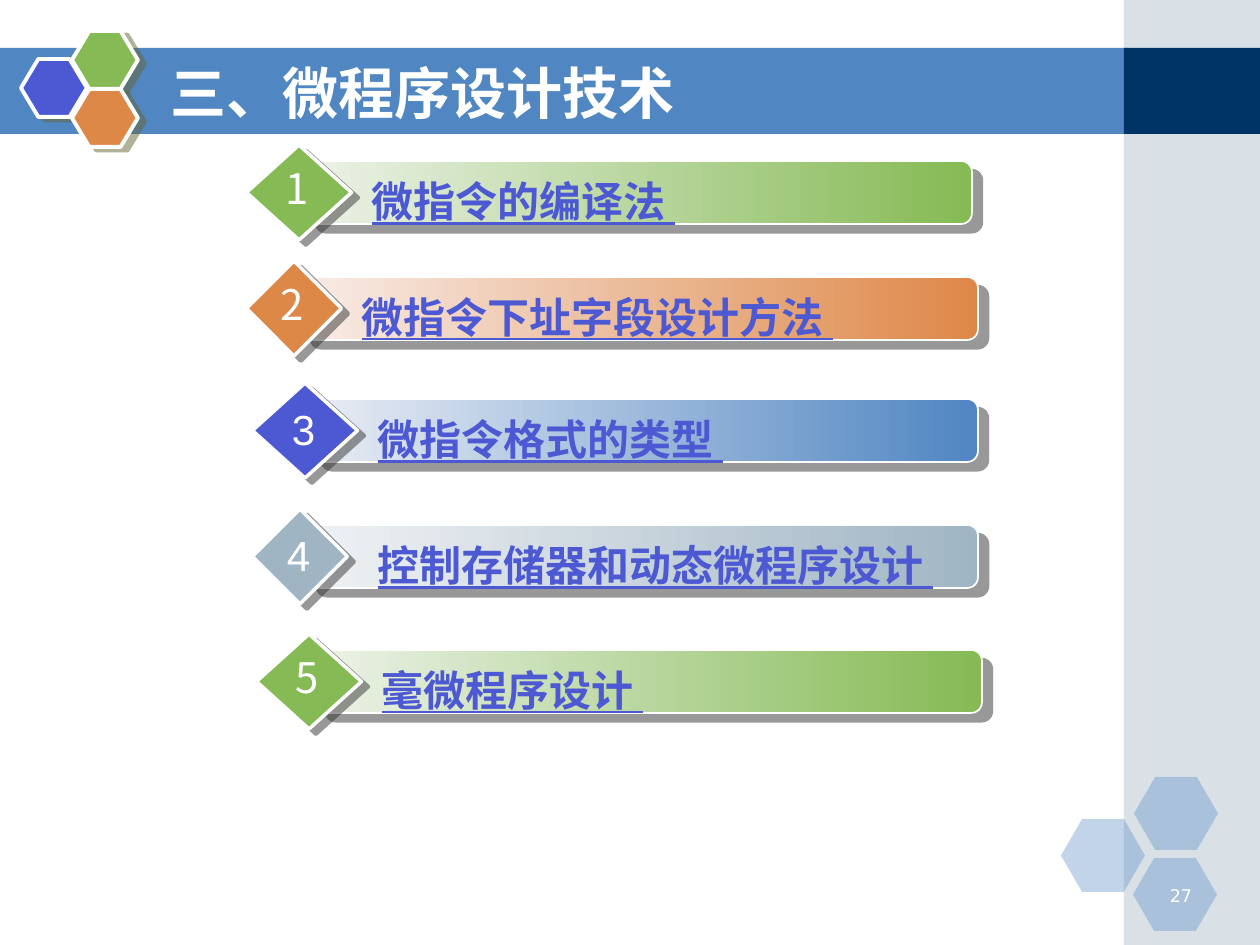
from pptx import Presentation
from pptx.dml.color import RGBColor as RGB
from pptx.enum.shapes import MSO_SHAPE as Kind
from pptx.enum.text import MSO_ANCHOR as Anchor, PP_ALIGN as Align
from pptx.oxml.ns import qn
from pptx.util import Emu, Pt
from lxml.etree import SubElement as Sub

PX = 914400 / 126
THEME = {
    "blue": "5086C2", "navy": "003366", "gray": "A0B5C4",
    "green": "85BA54", "orange": "DE8848", "indigo": "4C59D2",
    "white": "FFFFFF", "dark": "333333", "olive": "666633",
    "cjk": "Noto Sans CJK SC", "latin": "Arial", "small": "DejaVu Sans",
    "title": Pt(32), "body": Pt(24), "page": Pt(10),
}
PALE = {"green": "ECF2E8", "orange": "F8ECE7", "blue": "E8ECF4", "gray": "EFF2F4"}

deck = Presentation()
deck.slide_width, deck.slide_height = Emu(round(1260 * PX)), Emu(round(945 * PX))
slide = deck.slides.add_slide(deck.slide_layouts[6])


def draw(kind, box, tone, adj=None, alpha=None, pale=None, edge=None, cast=None):
    """Add a preset shape; cast is (tone, distance in pt, angle) of its shadow."""
    shape = slide.shapes.add_shape(kind, *[Emu(round(n * PX)) for n in box])
    shape.shadow.inherit = False
    if adj:
        shape.adjustments[0] = adj
    fill = shape.fill
    if pale:
        fill.gradient()
        fill.gradient_angle = 0
        for stop, color in zip(fill.gradient_stops, (pale, THEME[tone])):
            stop.color.rgb = RGB.from_string(color)
    else:
        fill.solid()
        fill.fore_color.rgb = RGB.from_string(THEME[tone])
    if alpha:
        color = shape._element.spPr.find(".//" + qn("a:srgbClr"))
        Sub(color, qn("a:alpha"), val=str(alpha * 1000))
    if edge:
        shape.line.color.rgb = RGB.from_string(THEME["white"])
        shape.line.width = Pt(edge)
    else:
        shape.line.fill.background()
    if cast:
        shade, dist, angle = cast
        glow = Sub(shape._element.spPr.find(qn("a:effectLst")), qn("a:outerShdw"),
                   dist=str(Pt(dist)), dir=str(angle * 60000),
                   algn="ctr", rotWithShape="0")
        color = Sub(glow, qn("a:srgbClr"), val=THEME[shade])
        Sub(color, qn("a:alpha"), val="50000")


def write(text, box, size, tone, face="cjk", align=Align.LEFT, anchor=Anchor.TOP, **style):
    frame = slide.shapes.add_textbox(*[Emu(round(n * PX)) for n in box]).text_frame
    layout = {"word_wrap": True, "margin_left": 0, "margin_right": 0,
              "vertical_anchor": anchor}
    for key, value in layout.items():
        setattr(frame, key, value)
    para = frame.paragraphs[0]
    para.alignment = align
    run = para.add_run()
    run.text = text
    for key, value in {"name": THEME[face], "size": THEME[size], **style}.items():
        setattr(run.font, key, value)
    run.font.color.rgb = RGB.from_string(THEME[tone])
    Sub(run._r.get_or_add_rPr(), qn("a:ea"), typeface=THEME["cjk"])


# Title band and side panel
draw(Kind.RECTANGLE, (0, 48, 1128, 86), "blue")
draw(Kind.RECTANGLE, (1124, 0, 136, 945), "gray", alpha=40)
draw(Kind.RECTANGLE, (1124, 48, 136, 86), "navy")

# Hexagon clusters
for left, top in ((1061, 819), (1134, 777), (1133, 858)):
    draw(Kind.HEXAGON, (left, top, 84, 73), "blue", adj=0.29, alpha=35)
for left, top, tone in ((21, 59, "indigo"), (72, 31, "green"), (72, 89, "orange")):
    draw(Kind.HEXAGON, (left, top, 66, 58), tone, adj=0.3, edge=2.25,
         cast=("olive", 4.5, 27))

write("27", (1142, 879, 50, 32), "page", "white", "small", Align.RIGHT)
write("三、微程序设计技术", (170, 53, 899, 78), "title", "white",
      anchor=Anchor.MIDDLE, bold=True)

# Agenda: top, diamond middle, diamond width, bar width, text left, tones, digit face
ROWS = (
    ("微指令的编译法", 161, 299, 105, 667, 372, "green", "green", "cjk"),
    ("微指令下址字段设计方法", 277, 294, 95, 678, 362, "orange", "orange", "cjk"),
    ("微指令格式的类型", 399, 305, 105, 667, 378, "blue", "indigo", "latin"),
    ("控制存储器和动态微程序设计", 525, 300, 95, 672, 378, "gray", "gray", "latin"),
    ("毫微程序设计", 650, 309, 105, 667, 382, "green", "green", "cjk"),
)
for num, (text, top, mid, wide, span, left, tone, gem, face) in enumerate(ROWS, 1):
    draw(Kind.ROUNDED_RECTANGLE, (mid + 6, top, span, 63), tone, adj=0.17,
         pale=PALE[tone], edge=1, cast=("dark", 7.8, 40))
    draw(Kind.DIAMOND, (mid - wide / 2, top - 16, wide, 95), gem, edge=2,
         cast=("dark", 5, 37))
    write(text + " ", (left, top + 8, 590, 63), "body", "indigo",
          bold=True, underline=True)
    lift = 5 if face == "cjk" else 2
    write(str(num), (mid - 25, top - lift, 47, 63), "body", "white", face, Align.CENTER)

deck.save("out.pptx")
